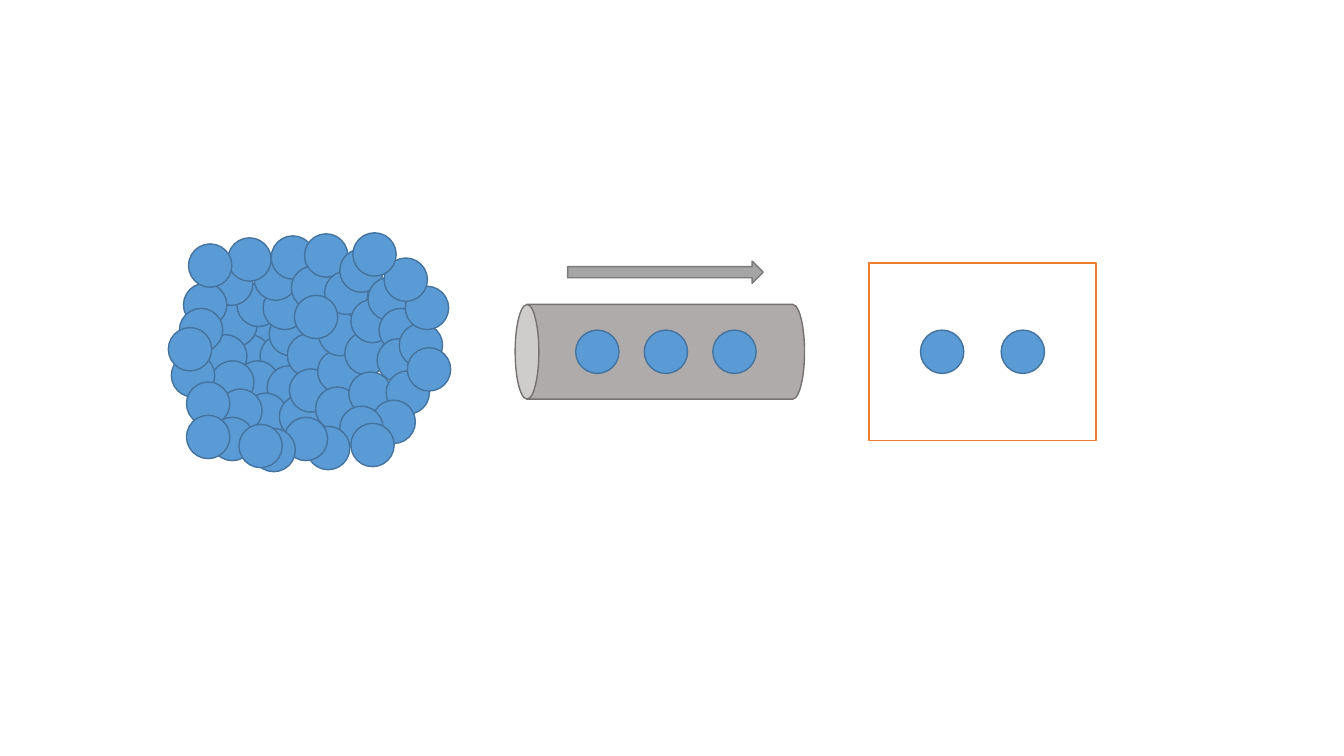
from pptx import Presentation
from pptx import util as u
from pptx.dml import color
from pptx.enum import shapes

HUES = {
    "ball": "5B9BD5", "rim": "43739E",
    "tube": "AFABAB", "edge": "767171",
    "arrow": "A5A5A5", "trim": "7A7A7A",
    "white": "FFFFFF", "frame": "ED7D31",
}
KINDS = shapes.MSO_SHAPE
SIZE = 0.43

# Ball offsets from the top left of the pile, back to front
PILE = [
    (0.75, 0.85), (0.59, 1.01), (0.91, 1.01), (0.67, 1.27), (0.98, 1.32),
    (0.75, 1.59), (1.10, 1.61), (1.00, 0.79), (1.18, 1.00), (1.20, 1.35),
    (1.48, 1.16), (0.45, 0.70), (0.35, 1.01), (0.42, 1.27), (0.50, 1.55),
    (0.68, 0.50), (0.94, 0.53), (1.49, 0.79), (1.46, 1.53), (1.75, 0.98),
    (1.79, 1.38), (0.85, 0.24), (0.41, 0.29), (0.15, 0.50), (0.11, 0.75),
    (0.03, 1.20), (0.18, 1.48), (0.59, 0.05), (1.02, 0.03), (1.22, 0.33),
    (1.35, 0.01), (1.55, 0.38), (1.70, 0.16), (1.81, 0.66), (1.98, 0.44),
    (2.09, 0.75), (2.07, 1.05), (2.16, 1.37), (2.02, 1.66), (1.70, 1.72),
    (1.37, 1.92), (1.15, 1.83), (0.83, 1.94), (0.42, 1.83), (0.70, 1.90),
    (0.18, 1.81), (0.00, 0.94), (0.20, 0.11), (2.29, 0.90), (1.81, 1.89),
    (2.37, 1.14), (2.35, 0.53), (2.14, 0.25), (1.83, 0.00), (1.25, 0.62),
]


def draw(group, kind, box, fill, line):
    """Add one filled, outlined shape to the group."""
    item = group.shapes.add_shape(kind, *[u.Inches(n) for n in box])
    item.shadow.inherit = False
    item.fill.solid()
    item.fill.fore_color.rgb = color.RGBColor.from_string(HUES[fill])
    item.line.color.rgb = color.RGBColor.from_string(HUES[line])
    item.line.width = u.Pt(1)
    return item


def ball(group, left, top):
    """Add one ball."""
    draw(group, KINDS.OVAL, (left, top, SIZE, SIZE), "ball", "rim")


def row(group, left, top, count, step):
    """Add evenly spaced balls on one level."""
    for i in range(count):
        ball(group, left + i * step, top)


def pile(slide, left, top):
    """Draw the crowded balls."""
    group = slide.shapes.add_group_shape()
    for dx, dy in PILE:
        ball(group, left + dx, top + dy)


def tube(slide, left, top, wide, high):
    """Draw the lying tube, its balls and the flow arrow above."""
    group = slide.shapes.add_group_shape()
    # The can is drawn upright about the box centre, then turned
    shift = (wide - high) / 2
    can = draw(group, KINDS.CAN, (left + shift, top - shift, high, wide),
               "tube", "edge")
    can.rotation = 270
    row(group, left + 0.6, top + (high - SIZE) / 2, 3, 0.68)
    draw(group, KINDS.RIGHT_ARROW, (left + 0.52, top - 0.43, 1.94, 0.22),
         "arrow", "trim")


def frame(slide, left, top, wide, high):
    """Draw the box with the balls that came through."""
    group = slide.shapes.add_group_shape()
    draw(group, KINDS.RECTANGLE, (left, top, wide, high), "white", "frame")
    row(group, left + 0.51, top + (high - SIZE) / 2, 2, 0.8)


def main():
    """Build and save the slide."""
    deck = Presentation()
    deck.slide_width = u.Inches(13.33)
    deck.slide_height = u.Inches(7.5)
    slide = deck.slides.add_slide(deck.slide_layouts[6])
    pile(slide, 1.67, 2.31)
    tube(slide, 5.11, 3.02, 2.87, 0.94)
    frame(slide, 8.62, 2.61, 2.25, 1.76)
    deck.save("out.pptx")


main()
